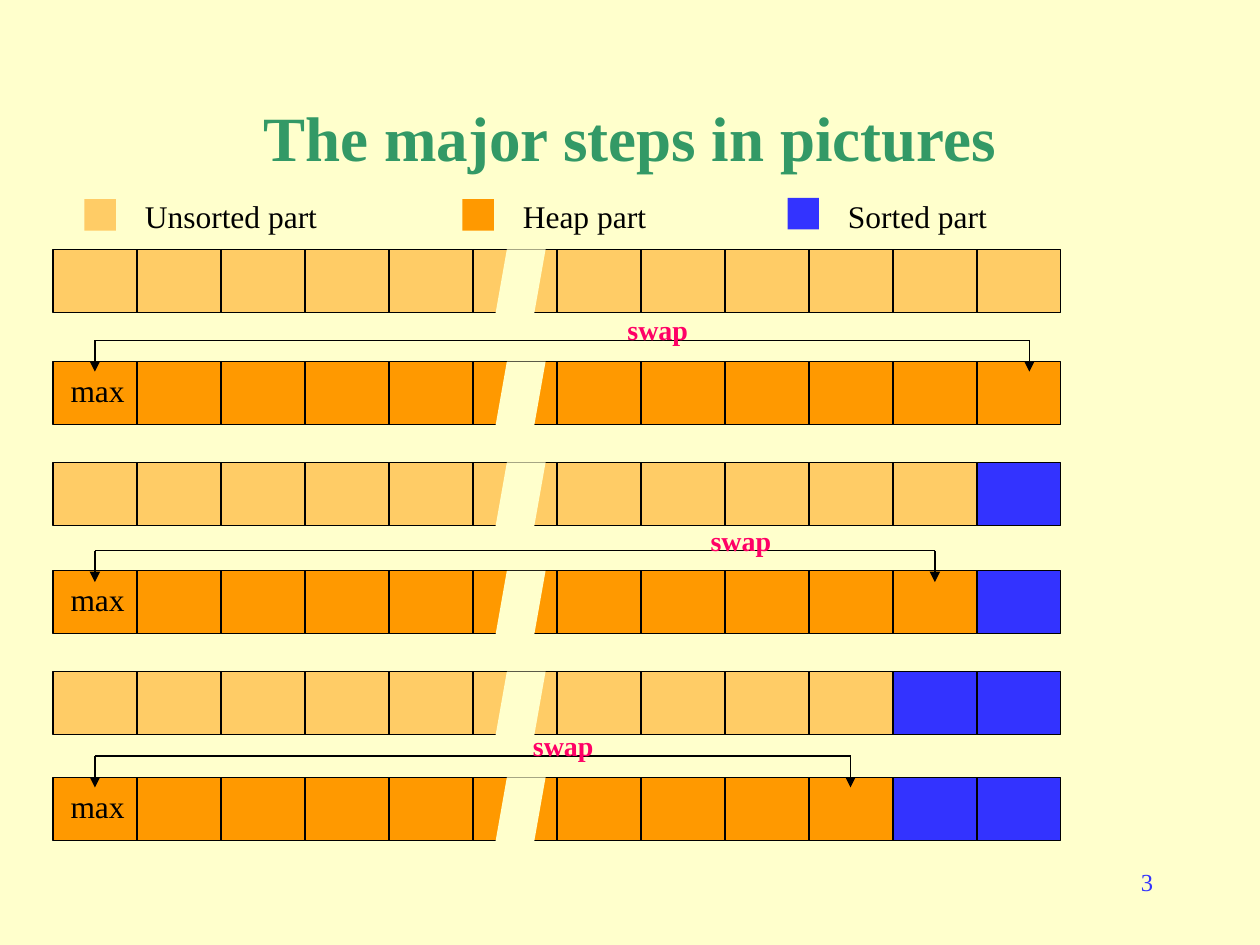
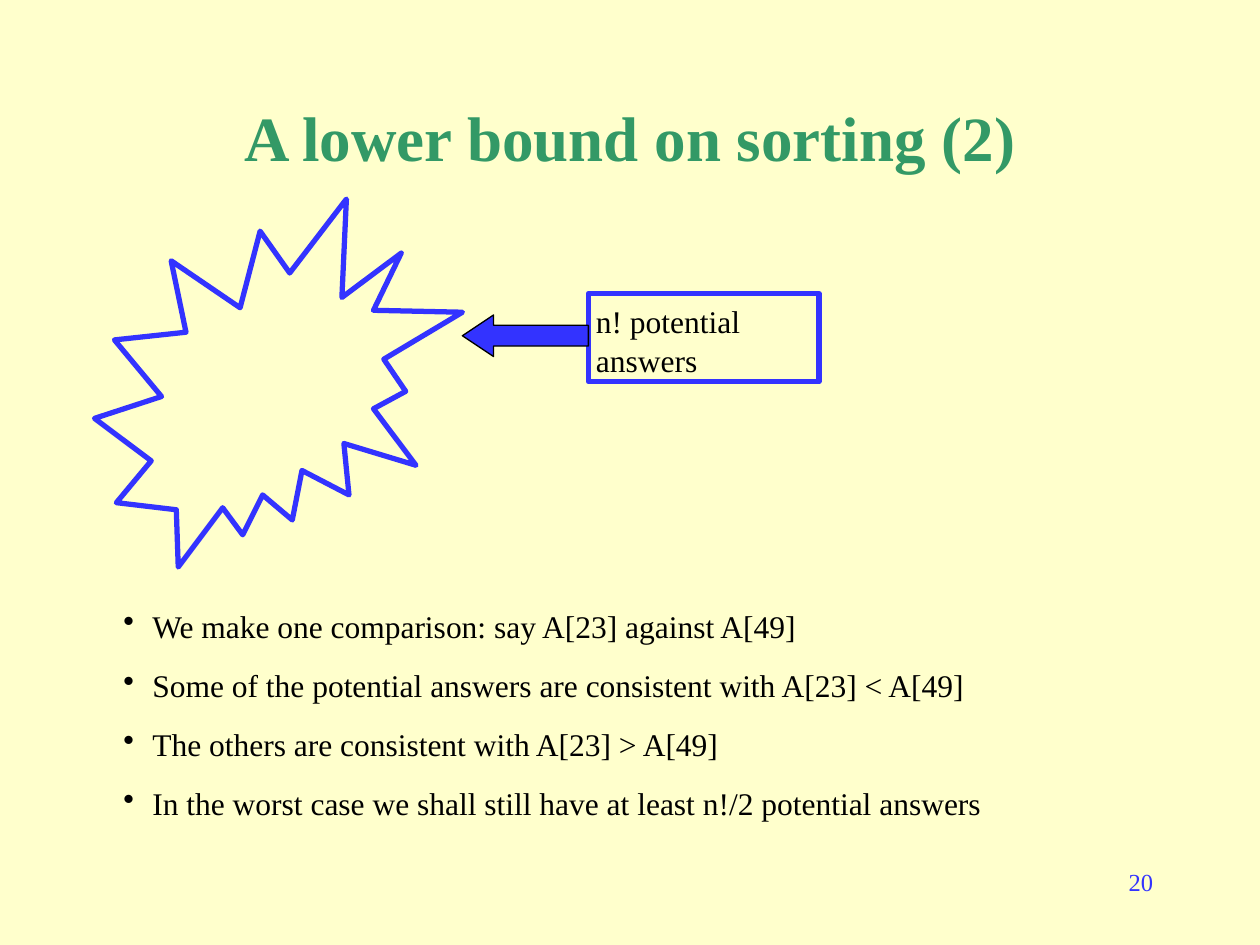
from dataclasses import dataclass

import pptx
import pptx.dml.color
import pptx.enum.shapes
import pptx.enum.text
import pptx.oxml
import pptx.oxml.ns
import pptx.util

Inches = pptx.util.Inches
Pt = pptx.util.Pt
SHAPE = pptx.enum.shapes.MSO_SHAPE
ALIGN = pptx.enum.text.PP_ALIGN
ANCHOR = pptx.enum.text.MSO_ANCHOR


@dataclass(frozen=True)
class Theme:
    font: str = "Times New Roman"
    background: str = "FFFFCC"
    title: str = "339966"
    text: str = "000000"
    unsorted: str = "FFCC66"
    heap: str = "FF9900"
    accent: str = "3333FF"
    swap: str = "FF0066"
    title_size: int = 36
    body_size: int = 18
    swap_size: int = 16
    number_size: int = 14
    thin: float = 0.75
    thick: float = 3
    leading: float = 1.05
    gap: float = 11.2


T = Theme()

STEPS_TITLE = "The major steps in pictures"
STEPS_NUMBER = "3"
LEGEND = [
    ("Unsorted part", T.unsorted, 0.67, 1.58),
    ("Heap part", T.heap, 3.67, 1.58),
    ("Sorted part", T.accent, 6.25, 1.57),
]
ARRAYS = [
    (1.98, T.unsorted, 0),
    (2.87, T.heap, 0),
    (3.67, T.unsorted, 1),
    (4.53, T.heap, 1),
    (5.33, T.unsorted, 2),
    (6.17, T.heap, 2),
]
SWAPS = [
    (2.7, 8.17, 4.92),
    (4.37, 7.42, 5.58),
    (6.0, 6.75, 4.17),
]

BOUND_TITLE = "A lower bound on sorting (2)"
BOUND_NUMBER = "20"
ANSWERS = "n! potential answers"
POINTS = [
    "We make one comparison: say A[23] against A[49]",
    "Some of the potential answers are consistent with A[23] < A[49]",
    "The others are consistent with A[23] > A[49]",
    "In the worst case we shall still have at least n!/2 potential answers",
]

CELLS = 12
CELL_W = 2 / 3
CELL_H = 0.5
ARRAY_LEFT = 0.42


def rgb(color):
    return pptx.dml.color.RGBColor.from_string(color)


def add_shape(s, kind, box, fill=None, line=None, width=T.thin):
    sp = s.shapes.add_shape(kind, *map(Inches, box))
    sp.shadow.inherit = False
    if fill:
        sp.fill.solid()
        sp.fill.fore_color.rgb = rgb(fill)
    else:
        sp.fill.background()
    if line:
        sp.line.color.rgb = rgb(line)
        sp.line.width = Pt(width)
    else:
        sp.line.fill.background()
    return sp


def set_bullet(p):
    pPr = p._p.get_or_add_pPr()
    pPr.set("marL", str(Inches(0.23)))
    pPr.set("indent", str(-Inches(0.23)))
    bullet = pptx.oxml.parse_xml(
        f'<a:buChar {pptx.oxml.ns.nsdecls("a")} char="•"/>')
    pPr.append(bullet)


def write(sp, lines, size=T.body_size, color=T.text, bold=False,
          align=ALIGN.LEFT, anchor=ANCHOR.TOP, inset=0.06,
          leading=T.leading, bullets=False):
    tf = sp.text_frame
    tf.word_wrap = True
    tf.vertical_anchor = anchor
    tf.margin_left = tf.margin_right = Inches(inset)
    tf.margin_top = tf.margin_bottom = Inches(0.05)
    for i, line in enumerate(lines):
        p = tf.add_paragraph() if i else tf.paragraphs[0]
        if bullets:
            set_bullet(p)
        p.alignment = align
        p.line_spacing = leading
        if i:
            p.space_before = Pt(T.gap)
        r = p.add_run()
        r.text = line
        r.font.name = T.font
        r.font.size = Pt(size)
        r.font.bold = bold
        r.font.color.rgb = rgb(color)


def add_text(s, box, lines, **style):
    write(s.shapes.add_textbox(*map(Inches, box)), lines, **style)


def add_line(s, start, end, arrow=False):
    cx = s.shapes.add_connector(
        pptx.enum.shapes.MSO_CONNECTOR.STRAIGHT,
        *map(Inches, (*start, *end)))
    cx.line.color.rgb = rgb(T.text)
    cx.line.width = Pt(T.thin)
    ns = pptx.oxml.ns.nsdecls("a")
    if arrow:
        cx.line._get_or_add_ln().append(
            pptx.oxml.parse_xml(f'<a:tailEnd {ns} type="triangle"/>'))
    cx._element.spPr.append(pptx.oxml.parse_xml(f"<a:effectLst {ns}/>"))


def new_slide(prs, title, number):
    s = prs.slides.add_slide(prs.slide_layouts[6])
    s.background.fill.solid()
    s.background.fill.fore_color.rgb = rgb(T.background)
    add_text(s, (0.75, 0.67, 8.5, 0.83), [title], size=T.title_size,
             color=T.title, bold=True, align=ALIGN.CENTER,
             anchor=ANCHOR.MIDDLE, leading=1.0)
    add_text(s, (7.17, 6.83, 2.08, 0.5), [number], size=T.number_size,
             color=T.accent, align=ALIGN.RIGHT, inset=0.1, leading=1.0)
    return s


def add_array(s, top, color, done):
    for i in range(CELLS):
        fill = T.accent if i >= CELLS - done else color
        add_shape(s, SHAPE.RECTANGLE,
                  (ARRAY_LEFT + i * CELL_W, top, CELL_W, CELL_H),
                  fill, T.text)
    add_shape(s, SHAPE.PARALLELOGRAM, (3.92, top, 0.41, 0.58), T.background)
    if color == T.heap:
        add_text(s, (0.5, top + 0.01, 0.58, 0.4), ["max"])


def add_swap(s, y, last, label_left):
    first = ARRAY_LEFT + CELL_W / 2
    for x in (first, last):
        add_line(s, (x, y), (x, y + 0.25), arrow=True)
    add_line(s, (first, y), (last, y))
    add_text(s, (label_left, y - 0.28, 1.42, 0.37), ["swap"],
             size=T.swap_size, color=T.swap, bold=True)


def build_steps(prs):
    s = new_slide(prs, STEPS_TITLE, STEPS_NUMBER)
    for label, color, left, top in LEGEND:
        add_shape(s, SHAPE.RECTANGLE, (left, top, 0.25, 0.25), color)
        add_text(s, (left + 0.42, 1.5, 1.67, 0.4), [label])
    for array in ARRAYS:
        add_array(s, *array)
    for swap in SWAPS:
        add_swap(s, *swap)


def build_bound(prs):
    s = new_slide(prs, BOUND_TITLE, BOUND_NUMBER)
    add_shape(s, SHAPE.EXPLOSION2, (0.75, 1.58, 2.92, 2.92),
              line=T.accent, width=T.thick)
    sp = add_shape(s, SHAPE.RECTANGLE, (4.67, 2.33, 1.83, 0.7),
                   line=T.accent, width=T.thick)
    write(sp, [ANSWERS])
    sp = add_shape(s, SHAPE.LEFT_ARROW, (3.67, 2.5, 1, 0.33),
                   T.accent, T.text)
    sp.adjustments[0] = 0.5
    sp.adjustments[1] = 0.75
    add_text(s, (0.92, 4.75, 7, 2.23), POINTS, bullets=True)


def main():
    prs = pptx.Presentation()
    prs.slide_width = Inches(10)
    prs.slide_height = Inches(7.5)
    build_steps(prs)
    build_bound(prs)
    prs.save("out.pptx")


if __name__ == "__main__":
    main()
